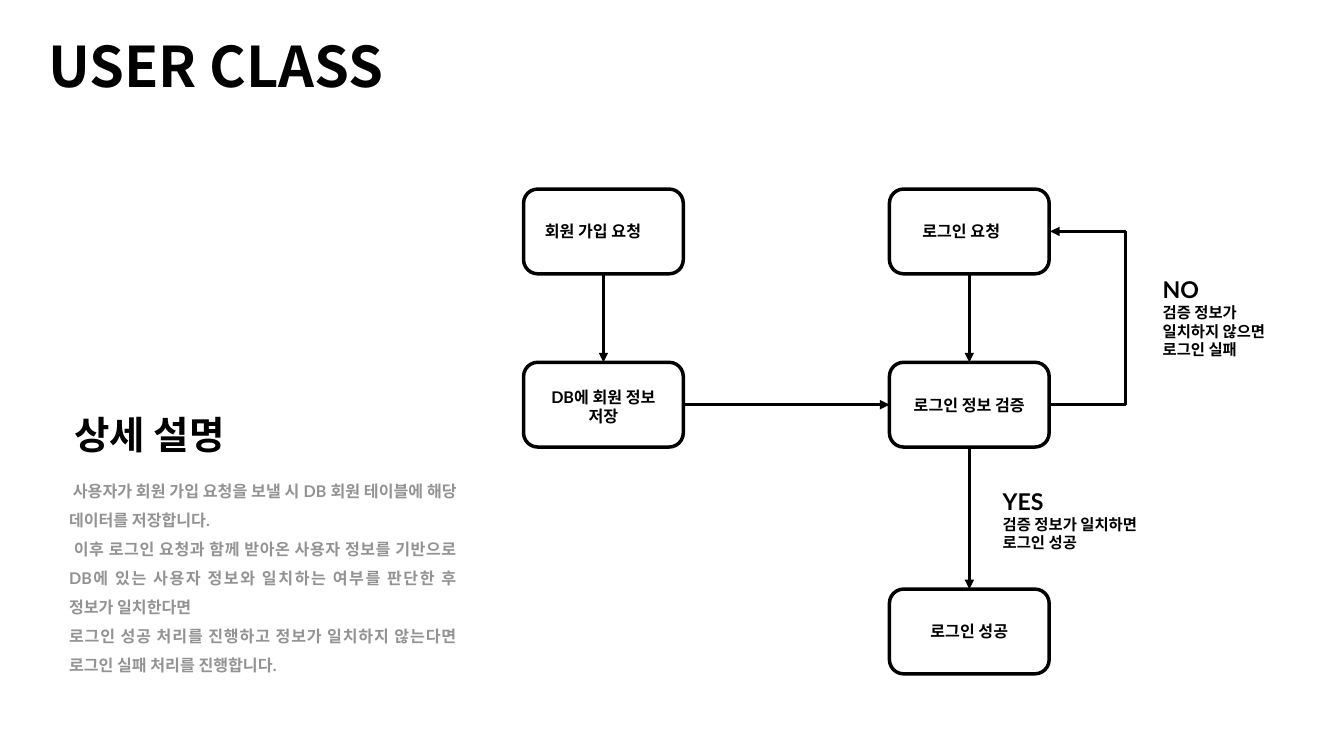
from lxml.etree import SubElement
from pptx import Presentation
from pptx.dml.color import RGBColor
from pptx.enum.shapes import MSO_CONNECTOR, MSO_SHAPE
from pptx.enum.text import MSO_ANCHOR, PP_ALIGN
from pptx.oxml.ns import qn
from pptx.util import Cm, Pt

BLACK = RGBColor(0x00, 0x00, 0x00)
GRAY = RGBColor(0x93, 0x93, 0x93)
HANGUL_FONT = "Noto Sans CJK KR"
BODY_FONT = "Lato"
HEADING_FONT = "Vollkorn"
BOX_W, BOX_H = 8.05, 4.27
SIGNUP_X, LOGIN_X = 26.39, 44.83
REQUEST_Y, CHECK_Y, SUCCESS_Y = 9.53, 18.26, 29.69
LOOP_REACH, LOOP_W = 3.84, 0.05
BOTTOM, TOP, LEFT, RIGHT = 2, 0, 1, 3


class FlowSlide:
    """Draws the elements of a login flow chart in one style on one slide."""

    def __init__(self, slide):
        self.slide = slide

    def text(self, x, y, w, h, lines, sizes, font=BODY_FONT, color=BLACK,
             align=PP_ALIGN.LEFT, anchor=MSO_ANCHOR.TOP, inset=0.1, spacing=None):
        tf = self.slide.shapes.add_textbox(Cm(x), Cm(y), Cm(w), Cm(h)).text_frame
        tf.word_wrap = True
        tf.vertical_anchor = anchor
        if inset is not None:
            tf.margin_left = tf.margin_right = Cm(inset)
            tf.margin_top = tf.margin_bottom = Cm(inset)
        tf.text = "\n".join(lines)
        for p, size in zip(tf.paragraphs, sizes):
            p.alignment = align
            p.line_spacing = spacing
            r = p.runs[0]
            r.font.size = Pt(size)
            r.font.bold = True
            r.font.color.rgb = color
            r.font.name = font
            SubElement(r.font._element, qn("a:ea"), typeface=HANGUL_FONT)

    def box(self, x, y, label, label_w, label_h=1.19, align=PP_ALIGN.CENTER, shift=0):
        sp = self.slide.shapes.add_shape(
            MSO_SHAPE.ROUNDED_RECTANGLE, Cm(x), Cm(y), Cm(BOX_W), Cm(BOX_H))
        sp.shadow.inherit = False
        sp.fill.background()
        sp.line.color.rgb = BLACK
        sp.line.width = Pt(5)
        self.text(x + (BOX_W - label_w) / 2, y + (BOX_H - label_h) / 2 + shift,
                  label_w, label_h, [label], [23], align=align, anchor=MSO_ANCHOR.MIDDLE)
        return sp

    def note(self, x, y, w, h, answer, detail):
        self.text(x, y, w, h, [answer, detail], [33, 22], anchor=MSO_ANCHOR.MIDDLE)

    def connector(self, kind, x1=0, y1=0, x2=0, y2=0):
        line = self.slide.shapes.add_connector(kind, Cm(x1), Cm(y1), Cm(x2), Cm(y2))
        line.line.color.rgb = BLACK
        line.line.width = Pt(4.5)
        SubElement(line.line._get_or_add_ln(), qn("a:tailEnd"), type="triangle")
        SubElement(line._element.spPr, qn("a:effectLst"))
        return line

    def arrow(self, source, source_side, target, target_side):
        line = self.connector(MSO_CONNECTOR.STRAIGHT)
        line.begin_connect(source, source_side)
        line.end_connect(target, target_side)

    def loop(self, x, y1, y2):
        line = self.connector(MSO_CONNECTOR.ELBOW, x, y1, x + LOOP_W, y2)
        guides = line._element.spPr.find(qn("a:prstGeom")).get_or_add_avLst()
        bend = round(LOOP_REACH / LOOP_W * 100000)
        SubElement(guides, qn("a:gd"), name="adj1", fmla=f"val {bend}")


def main():
    prs = Presentation()
    prs.slide_width, prs.slide_height = Cm(67.74), Cm(38.1)
    s = FlowSlide(prs.slides.add_slide(prs.slide_layouts[6]))

    s.text(1, 1.45, 19.75, 3.68, ["USER CLASS"], [80], font=HANGUL_FONT,
           align=PP_ALIGN.CENTER, inset=None)

    signup = s.box(SIGNUP_X, REQUEST_Y, "회원 가입 요청", 6.1, align=PP_ALIGN.LEFT)
    store = s.box(SIGNUP_X, CHECK_Y, "DB에 회원 정보 저장", 6.1, 2.18, shift=0.1)
    login = s.box(LOGIN_X, REQUEST_Y, "로그인 요청", 4.93, align=PP_ALIGN.LEFT)
    check = s.box(LOGIN_X, CHECK_Y, "로그인 정보 검증", 5.96, 2.18)
    success = s.box(LOGIN_X, SUCCESS_Y, "로그인 성공", 5.96)

    for source, target in ((signup, store), (login, check), (check, success)):
        s.arrow(source, BOTTOM, target, TOP)
    s.arrow(store, RIGHT, check, LEFT)
    s.loop(LOGIN_X + BOX_W, CHECK_Y + BOX_H / 2, REQUEST_Y + BOX_H / 2)

    s.note(50.44, 24.43, 8.05, 3.51, "YES", "검증 정보가 일치하면 로그인 성공")
    s.note(58.5, 13.77, 6.91, 4.45, "NO", "검증 정보가 일치하지 않으면 로그인 실패")

    s.text(2.54, 20.57, 9.98, 2.9, ["상세 설명"], [55], font=HEADING_FONT,
           align=PP_ALIGN.CENTER, inset=None)
    s.text(3.38, 23.7, 19.75, 11.99, [
        " 사용자가 회원 가입 요청을 보낼 시 DB 회원 테이블에 해당 데이터를 저장합니다.",
        " 이후 로그인 요청과 함께 받아온 사용자 정보를 기반으로 DB에 있는 사용자 정보와 "
        "일치하는 여부를 판단한 후 정보가 일치한다면",
        "로그인 성공 처리를 진행하고 정보가 일치하지 않는다면 로그인 실패 처리를 진행합니다.",
    ], [23] * 3, color=GRAY, align=PP_ALIGN.JUSTIFY, spacing=1.5)

    prs.save("out.pptx")


if __name__ == "__main__":
    main()
